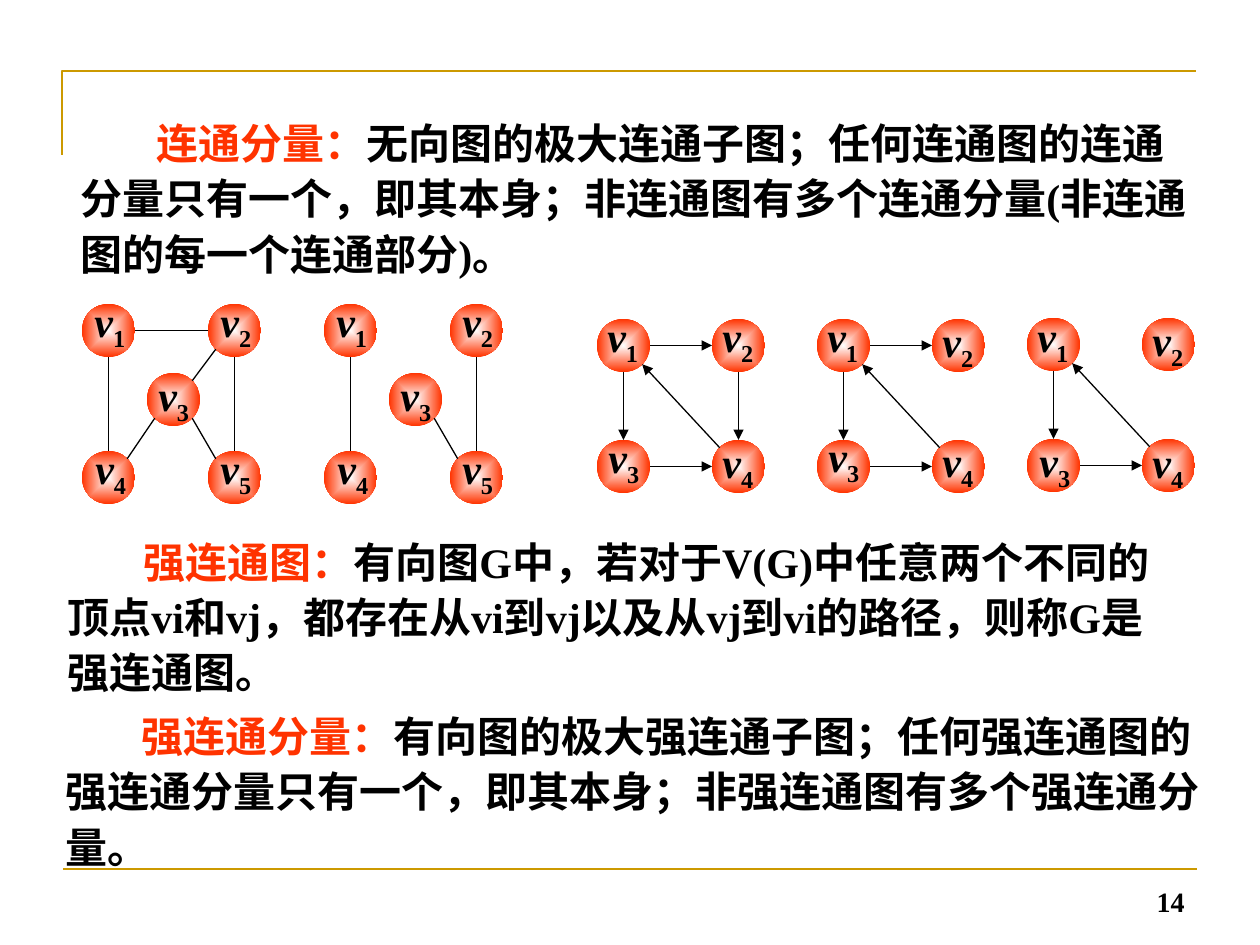
import math

import lxml.etree
import pptx
import pptx.dml.color
import pptx.enum.shapes
import pptx.enum.text
import pptx.oxml
import pptx.oxml.ns
import pptx.util

PX = 914400 / 126
BLACK = pptx.dml.color.RGBColor(0x00, 0x00, 0x00)
WHITE = pptx.dml.color.RGBColor(0xFF, 0xFF, 0xFF)
RED = pptx.dml.color.RGBColor(0xFF, 0x33, 0x00)
GOLD = pptx.dml.color.RGBColor(0xCC, 0x99, 0x00)
LATIN, CJK = "Times New Roman", "Noto Sans CJK SC"
NODE, LABEL_W, LABEL_H, INDENT = 53, 62, 71, 76

DEFINITIONS = [
    ((68, 106, 1137, 179), "连通分量：",
     "无向图的极大连通子图；任何连通图的连通分量只有一个，即其本身；非连通图有多个连通分量(非连通图的每一个连通部分)。", LATIN),
    ((55, 525, 1142, 229), "强连通图：",
     "有向图G中，若对于V(G)中任意两个不同的顶点vi和vj，都存在从vi到vj以及从vj到vi的路径，则称G是强连通图。", LATIN),
    ((53, 699, 1168, 179), "强连通分量：",
     "有向图的极大强连通子图；任何强连通图的强连通分量只有一个，即其本身；非强连通图有多个强连通分量。", CJK),
]

FIVE = [(0, 0), (126, 0), (65, 69), (0, 147), (126, 147)]
FOUR = [(0, 0), (115, 0), (0, 121), (115, 121)]
FIVE_LABELS = [(0, -15), (0, -15), (-1, -10), (1, -15), (0, -15)]
GRAPHS = [
    {"at": (82, 304), "nodes": FIVE, "labels": FIVE_LABELS, "directed": False,
     "edges": [(1, 2), (1, 4), (4, 3), (3, 2), (5, 2), (5, 3)]},
    {"at": (324, 304), "nodes": FIVE, "labels": FIVE_LABELS, "directed": False,
     "edges": [(1, 4), (5, 2), (5, 3)]},
    {"at": (597, 319), "nodes": FOUR, "directed": True,
     "labels": [(-2, -15), (-2, -15), (-1, -15), (-2, -10)],
     "edges": [(1, 2), (1, 3), (3, 4), (4, 1), (2, 4)]},
    {"at": (817, 319), "nodes": FOUR, "directed": True,
     "labels": [(-2, -15), (-2, -10), (-1, -16), (-2, -11)],
     "edges": [(1, 2), (1, 3), (3, 4), (4, 1)]},
    {"at": (1027, 318), "nodes": FOUR, "directed": True,
     "labels": [(-2, -14), (-2, -10), (0, -10), (-2, -9)],
     "edges": [(4, 1), (3, 4), (1, 3)]},
]


def emu(*lengths):
    return [round(n * PX) for n in lengths]


def add_text(shapes, box, wrap=True):
    tf = shapes.add_textbox(*emu(*box)).text_frame
    tf.word_wrap = wrap
    return tf


def add_run(p, text, color=None):
    r = p.add_run()
    r.text = text
    if color is not None:
        r.font.color.rgb = color
    return r


def style(p, size, color=None):
    p.font.size = pptx.util.Pt(size)
    p.font.name = LATIN
    p.font.bold = True
    if color is not None:
        p.font.color.rgb = color


def add_line(shapes, start, end, color, width, arrow=False):
    line = shapes.add_connector(
        pptx.enum.shapes.MSO_CONNECTOR.STRAIGHT, *emu(*start, *end))
    line.line.color.rgb = color
    line.line.width = pptx.util.Pt(width)
    if arrow:
        tail = lxml.etree.SubElement(line.line._get_or_add_ln(), pptx.oxml.ns.qn("a:tailEnd"))
        tail.set("type", "triangle")
    lxml.etree.SubElement(line._element.spPr, pptx.oxml.ns.qn("a:effectLst"))


def add_node(shapes, x, y):
    sp = shapes.add_shape(pptx.enum.shapes.MSO_SHAPE.OVAL, *emu(x, y, NODE, NODE))
    sp.shadow.inherit = False
    sp.line.fill.background()
    sp.fill.gradient()
    for stop, color, position in zip(sp.fill.gradient_stops, (WHITE, RED), (0, 1)):
        stop.color.rgb = color
        stop.position = position
    grad = sp._element.spPr.find(pptx.oxml.ns.qn("a:gradFill"))
    grad.replace(grad.find(pptx.oxml.ns.qn("a:lin")), pptx.oxml.parse_xml(
        f'<a:path {pptx.oxml.ns.nsdecls("a")} path="rect">'
        '<a:fillToRect l="50000" t="50000" r="50000" b="50000"/></a:path>'))


def add_label(shapes, x, y, number):
    tf = add_text(shapes, (x, y, LABEL_W, LABEL_H), wrap=False)
    p = tf.paragraphs[0]
    style(p, 24, BLACK)
    add_run(p, "v").font.italic = True
    add_run(p, str(number)).font._element.set("baseline", "-25000")


def rim_point(node, other):
    angle = math.atan2(other[1] - node[1], other[0] - node[0])
    angle = round(angle / (math.pi / 4)) * math.pi / 4
    return [c + NODE / 2 + NODE / 2 * f(angle) for c, f in zip(node, (math.cos, math.sin))]


def add_graph(slide, graph):
    shapes = slide.shapes.add_group_shape().shapes
    left, top = graph["at"]
    nodes = [(left + x, top + y) for x, y in graph["nodes"]]
    for number, ((x, y), (dx, dy)) in enumerate(zip(nodes, graph["labels"]), 1):
        add_node(shapes, x, y)
        add_label(shapes, x + dx, y + dy, number)
    for a, b in graph["edges"]:
        a, b = nodes[a - 1], nodes[b - 1]
        add_line(shapes, rim_point(a, b), rim_point(b, a), BLACK, 0.75, graph["directed"])


def add_definition(slide, box, term, meaning, font):
    p = add_text(slide.shapes, box).paragraphs[0]
    p._p.get_or_add_pPr().set("indent", str(round(INDENT * PX)))
    p.line_spacing = 1.1
    style(p, 24)
    add_run(p, term, RED)
    r = add_run(p, meaning, BLACK)
    if font != LATIN:
        r.font.name = font


def main():
    prs = pptx.Presentation()
    prs.slide_width, prs.slide_height = emu(1260, 945)
    slide = prs.slides.add_slide(prs.slide_layouts[6])

    builder = slide.shapes.build_freeform(62, 155, scale=PX)
    builder.add_line_segments([(62, 71), (1196, 71)], close=False)
    corner = builder.convert_to_shape()
    corner.shadow.inherit = False
    corner.fill.background()
    corner.line.color.rgb = GOLD
    corner.line.width = pptx.util.Pt(1.5)
    add_line(slide.shapes, (63, 869), (1197, 869), GOLD, 1.5)

    for definition in DEFINITIONS:
        add_definition(slide, *definition)
    for graph in GRAPHS:
        add_graph(slide, graph)

    tf = add_text(slide.shapes, (903, 861, 294, 63))
    tf.vertical_anchor = pptx.enum.text.MSO_ANCHOR.BOTTOM
    p = tf.paragraphs[0]
    p.alignment = pptx.enum.text.PP_ALIGN.RIGHT
    style(p, 16, BLACK)
    add_run(p, "14")
    prs.save("out.pptx")


if __name__ == "__main__":
    main()
